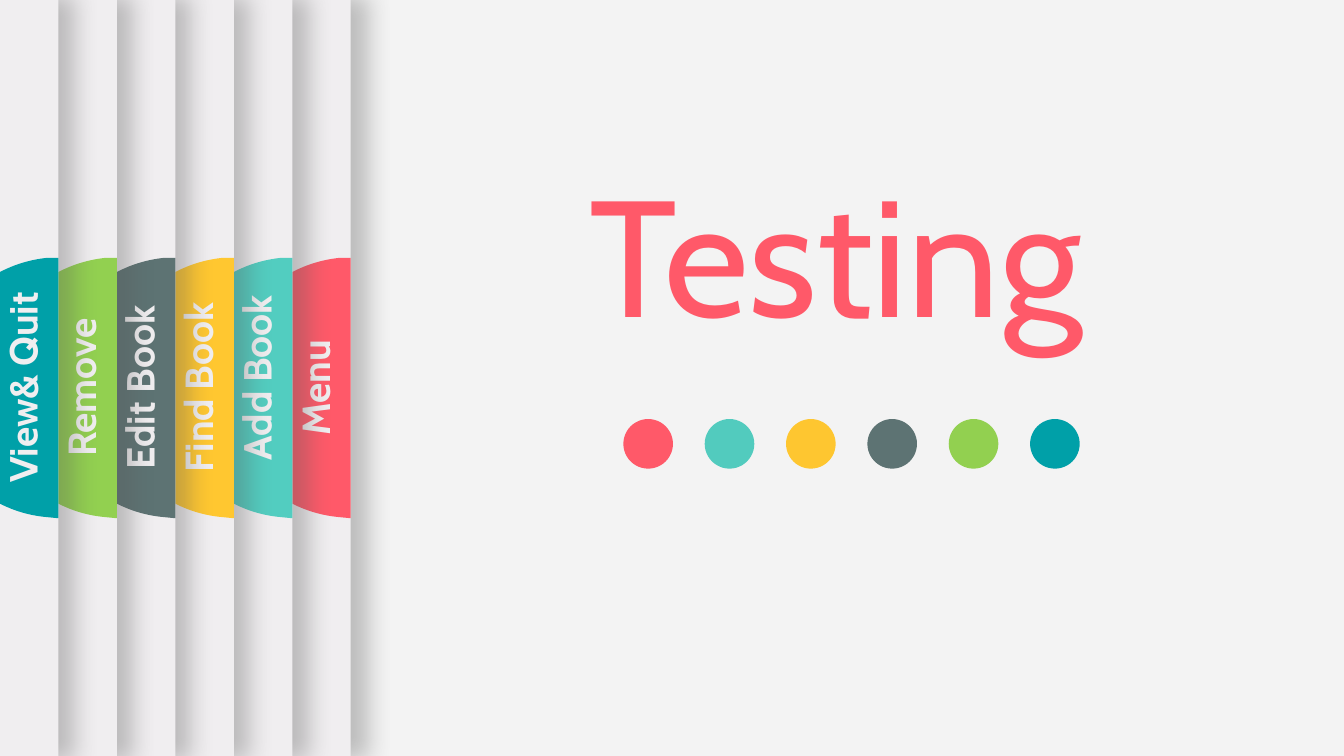
from lxml import etree
from pptx import Presentation
from pptx.dml.color import RGBColor
from pptx.enum import shapes, text
from pptx.oxml import ns
from pptx.util import Cm, Pt

TITLE = "Testing"
FONT = "Cabin"
RED, PAPER, BACKDROP, SHADE = "FF5969", "F0EEF0", "F3F3F3", "595959"
DOTS = [RED, "52CBBE", "FEC630", "5D7373", "92D050", "00A0A8"]
TABS = [
    ("Menu", RED, -25.83, 9.04),
    ("Add Book", "52CDC0", -24.43, 8.79),
    ("Find Book", "FFC730", -21.79, 9.04),
    ("Edit Book", "5D7373", -22.17, 9.04),
    ("Remove", "92D050", -21.21, 9.04),
    ("View& Quit", "00A0A8", -26.09, 9.04),
]
FIRST_EDGE, LAST_EDGE = 8.84, 1.47
TAB_STEP = (FIRST_EDGE - LAST_EDGE) / (len(TABS) - 1)
TAB_TOP, TAB_W = 6.5, 3.25
TAB_CORNERS = [(3.25, 0), (3.25, 6.56), (2.95, 6.53), (0, 3.28), (2.95, 0)]
TAB_CURVES = [
    [(1.29, 6.38), (0, 4.98), (0, 3.28)],
    [(0, 1.58), (1.29, 0.18), (2.95, 0)],
]
LABEL_OFFSET, LABEL_W, LABEL_H = 3.68, 5.54, 1.45
DOT_LEFT, DOT_TOP, DOT_STEP, DOT_SIZE = 15.71, 10.56, 2.05, 1.25


def rgb(value):
    return RGBColor.from_string(value)


def paint(sp, color):
    sp.shadow.inherit = False
    sp.fill.solid()
    sp.fill.fore_color.rgb = rgb(color)
    sp.line.fill.background()


def add_shadow(sp):
    effects = sp._element.spPr.find(ns.qn("a:effectLst"))
    shadow = etree.SubElement(effects, ns.qn("a:outerShdw"), blurRad=str(Pt(17)),
                              dist=str(Pt(3)), dir="0", sx="101000", sy="101000",
                              algn="l", rotWithShape="0")
    color = etree.SubElement(shadow, ns.qn("a:srgbClr"), val=SHADE)
    etree.SubElement(color, ns.qn("a:alpha"), val="35000")


def write(sp, words, size, color, bold=False):
    tf = sp.text_frame
    tf.text = words
    tf.word_wrap = True
    tf.auto_size = text.MSO_AUTO_SIZE.SHAPE_TO_FIT_TEXT
    tf.vertical_anchor = text.MSO_ANCHOR.TOP
    p = tf.paragraphs[0]
    p.alignment = text.PP_ALIGN.CENTER
    font = p.runs[0].font
    font.name, font.size, font.bold = FONT, Pt(size), bold
    font.color.rgb = rgb(color)


def bend(sp):
    lines = list(sp._element.iter(ns.qn("a:lnTo")))
    for line, curve in zip(lines[2:4], TAB_CURVES):
        bezier = etree.Element(ns.qn("a:cubicBezTo"))
        for x, y in curve:
            etree.SubElement(bezier, ns.qn("a:pt"), x=str(Cm(x)), y=str(Cm(y)))
        line.getparent().replace(line, bezier)


def add_tab(s, index, label, color, left, label_top):
    edge = FIRST_EDGE - index * TAB_STEP
    group = s.shapes.add_group_shape().shapes
    panel = group.add_shape(shapes.MSO_SHAPE.RECTANGLE, Cm(left), 0,
                            Cm(edge - left), prs.slide_height)
    paint(panel, PAPER)
    add_shadow(panel)

    start, *rest = [(Cm(edge - TAB_W + x), Cm(TAB_TOP + y)) for x, y in TAB_CORNERS]
    builder = group.build_freeform(*start)
    builder.add_line_segments(rest)
    flap = builder.convert_to_shape()
    paint(flap, color)
    bend(flap)

    box = group.add_textbox(Cm(edge - LABEL_OFFSET), Cm(label_top), Cm(LABEL_W), Cm(LABEL_H))
    box.rotation = 270
    write(box, label, 28, PAPER, bold=True)


prs = Presentation()
prs.slide_width, prs.slide_height = Cm(33.87), Cm(19.05)
s = prs.slides.add_slide(prs.slide_layouts[5])
s.background.fill.solid()
s.background.fill.fore_color.rgb = rgb(BACKDROP)

title = s.shapes.title
title.left, title.top, title.width, title.height = Cm(10.95), Cm(3.71), Cm(20.22), Cm(5.31)
write(title, TITLE, 118, RED)

dots = s.shapes.add_group_shape().shapes
for i, color in enumerate(DOTS):
    dot = dots.add_shape(shapes.MSO_SHAPE.OVAL, Cm(DOT_LEFT + i * DOT_STEP), Cm(DOT_TOP),
                         Cm(DOT_SIZE), Cm(DOT_SIZE))
    paint(dot, color)

for i, tab in enumerate(TABS):
    add_tab(s, i, *tab)

prs.save("out.pptx")
